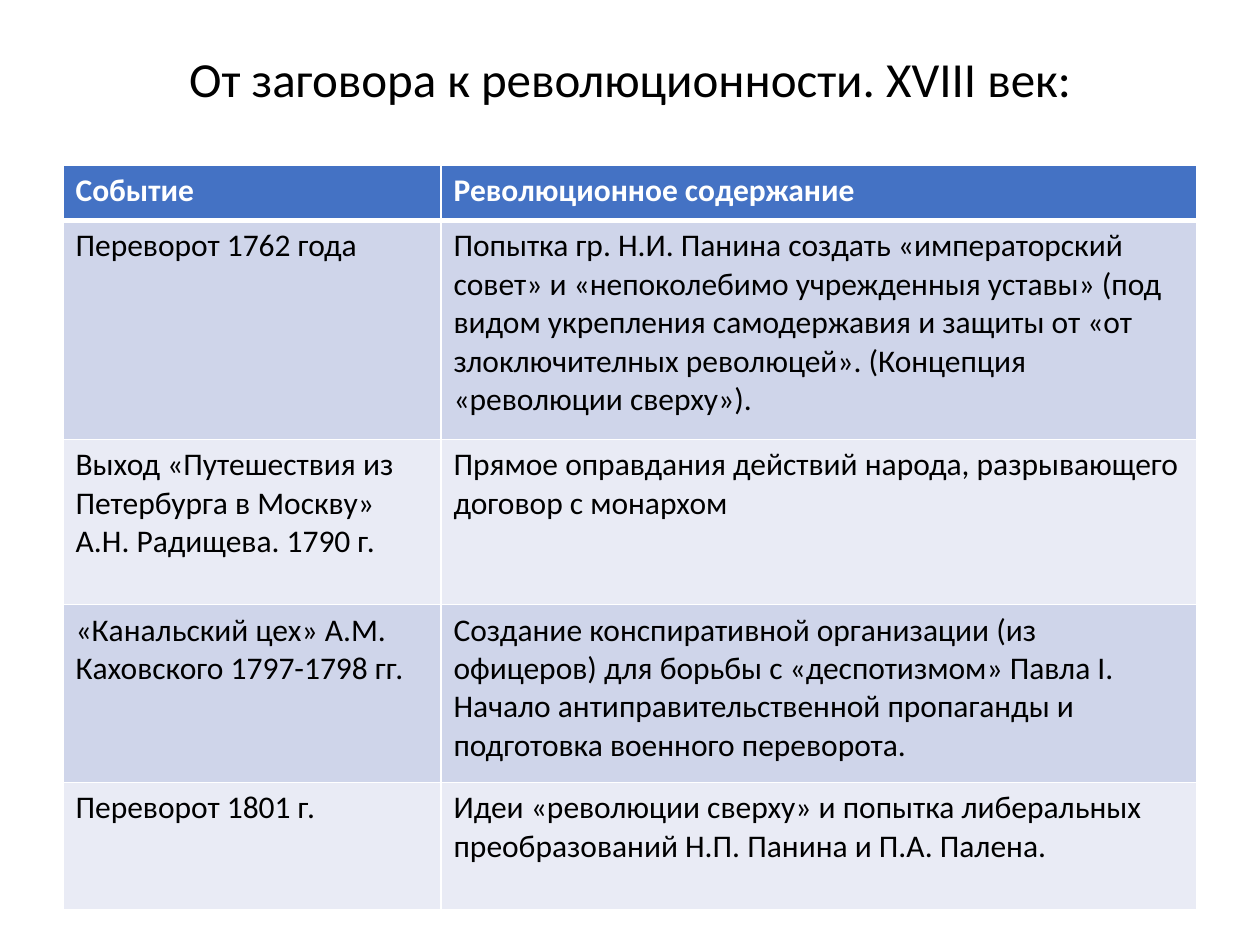
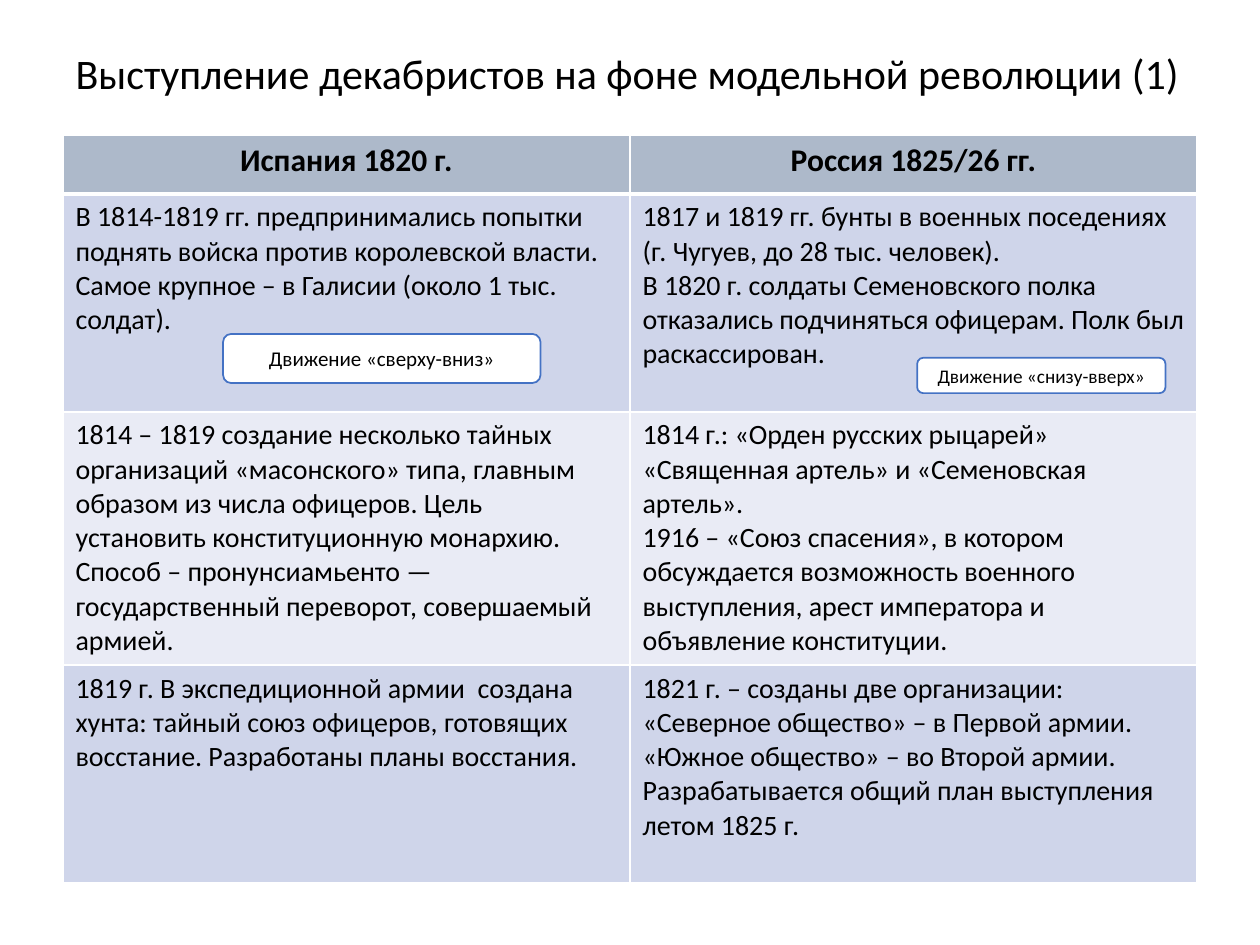
"""Build two slides that compare revolutionary events in tables."""
from lxml import etree
from pptx import Presentation
from pptx.dml.color import RGBColor
from pptx.enum.shapes import MSO_SHAPE
from pptx.enum.text import MSO_ANCHOR, MSO_AUTO_SIZE, PP_ALIGN
from pptx.oxml.ns import qn
from pptx.util import Emu, Pt

LEFT, CENTER = PP_ALIGN.LEFT, PP_ALIGN.CENTER
MIDDLE = MSO_ANCHOR.MIDDLE
NO_FIT = MSO_AUTO_SIZE.NONE
ROUNDED = MSO_SHAPE.ROUNDED_RECTANGLE

PX = 9144
TITLE_ONLY = 5
MARGIN = 50
FONT = "Calibri"
COLORS = {
    "white": "FFFFFF",
    "black": "000000",
    "blue": "4472C4",
    "slate": "ADB9CA",
    "dark band": "CFD5EA",
    "light band": "E9EBF5",
}

EVENTS = [
    ["Событие", "Революционное содержание"],
    ["Переворот 1762 года",
     "Попытка гр. Н.И. Панина создать «императорский совет» и «непоколебимо "
     "учрежденныя уставы» (под видом укрепления самодержавия и защиты от «от "
     "злоключителных революцей». (Концепция «революции сверху»)."],
    ["Выход «Путешествия из Петербурга в Москву» А.Н. Радищева. 1790 г.",
     "Прямое оправдания действий народа, разрывающего договор с монархом"],
    ["«Канальский цех» А.М. Каховского 1797-1798 гг.",
     "Создание конспиративной организации (из офицеров) для борьбы с "
     "«деспотизмом» Павла I.  Начало антиправительственной пропаганды и "
     "подготовка военного переворота."],
    ["Переворот 1801 г.",
     "Идеи «революции сверху» и попытка либеральных преобразований "
     "Н.П. Панина и П.А. Палена."],
]

COUNTRIES = [
    ["Испания 1820 г.", "Россия 1825/26 гг."],
    ["В 1814-1819 гг. предпринимались попытки поднять войска против "
     "королевской власти. Самое крупное – в Галисии (около 1 тыс. солдат).",
     "1817 и 1819 гг. бунты в военных поседениях (г. Чугуев, до 28 тыс. "
     "человек).\n"
     "В 1820 г. солдаты Семеновского полка отказались подчиняться офицерам. "
     "Полк был раскассирован."],
    ["1814 – 1819 создание несколько тайных организаций «масонского» типа, "
     "главным образом из числа офицеров. Цель установить конституционную "
     "монархию. Способ – пронунсиамьенто — государственный переворот, "
     "совершаемый армией.",
     "1814 г.: «Орден русских рыцарей» «Священная артель» и «Семеновская "
     "артель».\n"
     "1916 – «Союз спасения», в котором обсуждается возможность военного "
     "выступления, арест императора и объявление конституции."],
    ["1819 г. В экспедиционной армии  создана хунта: тайный союз офицеров, "
     "готовящих восстание. Разработаны планы восстания.",
     "1821 г. – созданы две организации:\n"
     "«Северное общество» – в Первой армии.\n"
     "«Южное общество» – во Второй армии.\n"
     "Разрабатывается общий план выступления летом 1825 г."],
]


def color(name):
    """Return a named colour."""
    return RGBColor.from_string(COLORS[name])


def set_values(target, values):
    """Set attributes of an object from a dict."""
    for name, value in values.items():
        setattr(target, name, value)


class Deck:
    """Hold the style and the current slide."""

    def __init__(self):
        """Open a blank presentation."""
        self.presentation = Presentation()
        self.presentation.slide_width = Emu(1000 * PX)
        self.presentation.slide_height = Emu(750 * PX)
        self.slide = None

    def fill_text(self, frame, text, size, align=LEFT, ink="black", bold=False, spacing=1.0):
        """Put formatted text, one paragraph a line, into a frame."""
        frame.text = text
        for paragraph in frame.paragraphs:
            set_values(paragraph, {"alignment": align, "line_spacing": spacing})
            set_values(paragraph.font, {"name": FONT, "size": Pt(size), "bold": bold})
            paragraph.font.color.rgb = color(ink)

    def add_slide(self, title, height, size, align):
        """Start a slide with its title."""
        layout = self.presentation.slide_layouts[TITLE_ONLY]
        self.slide = self.presentation.slides.add_slide(layout)
        shape = self.slide.shapes.title
        box = {"left": MARGIN, "top": 30, "width": 900, "height": height}
        set_values(shape, {name: Emu(value * PX) for name, value in box.items()})
        set_values(shape.text_frame, {"auto_size": NO_FIT, "vertical_anchor": MIDDLE,
                                      "word_wrap": True})
        self.fill_text(shape.text_frame, title, size, align, spacing=0.9)

    def add_borders(self, cell, bottom):
        """Draw white borders around a cell."""
        properties = cell._tc.get_or_add_tcPr()
        for side, points in {"L": 1, "R": 1, "T": 1, "B": bottom}.items():
            line = etree.SubElement(properties, qn(f"a:ln{side}"), w=str(Pt(points)))
            fill = etree.SubElement(line, qn("a:solidFill"))
            etree.SubElement(fill, qn("a:srgbClr"), val=COLORS["white"])

    def add_table(self, rows, top, widths, heights, header, body_size):
        """Add a banded table under a header row."""
        box = [MARGIN, top, sum(widths), sum(heights)]
        table = self.slide.shapes.add_table(
            len(rows), len(widths), *(Emu(value * PX) for value in box)).table
        for column, width in zip(table.columns, widths):
            column.width = Emu(width * PX)
        for index, (row, texts) in enumerate(zip(table.rows, rows)):
            row.height = Emu(heights[index] * PX)
            band = "dark band" if index % 2 else "light band"
            for cell, text in zip(row.cells, texts):
                self.add_borders(cell, 1 if index else 3)
                cell.fill.solid()
                cell.fill.fore_color.rgb = color(band if index else header["fill"])
                if index:
                    self.fill_text(cell.text_frame, text, body_size)
                else:
                    self.fill_text(cell.text_frame, text, 18, header["align"],
                                   header["ink"], bold=True)

    def add_callout(self, text, box, size):
        """Add a rounded label over the table."""
        shape = self.slide.shapes.add_shape(ROUNDED, *(Emu(value * PX) for value in box))
        shape.shadow.inherit = False
        shape.fill.solid()
        shape.fill.fore_color.rgb = color("white")
        shape.line.color.rgb = color("blue")
        shape.line.width = Pt(1)
        set_values(shape.text_frame, {"word_wrap": True, "vertical_anchor": MIDDLE})
        self.fill_text(shape.text_frame, text, size, CENTER)


def main():
    """Build and save the slides."""
    deck = Deck()
    deck.add_slide("От заговора к революционности. XVIII век:", 69, 28, CENTER)
    deck.add_table(EVENTS, 131, [300, 600], [44, 174, 131, 141, 101],
                   {"fill": "blue", "ink": "white", "align": LEFT}, 18)

    deck.add_slide("Выступление декабристов на фоне модельной революции (1)", 61, 24, LEFT)
    deck.add_table(COUNTRIES, 107, [450, 450], [47, 173, 201, 173],
                   {"fill": "slate", "ink": "black", "align": CENTER}, 16)
    deck.add_callout("Движение «сверху-вниз»", [177, 265, 252, 39], 12)
    deck.add_callout("Движение «снизу-вверх»", [728, 284, 197, 28], 11)
    deck.presentation.save("out.pptx")


if __name__ == "__main__":
    main()
